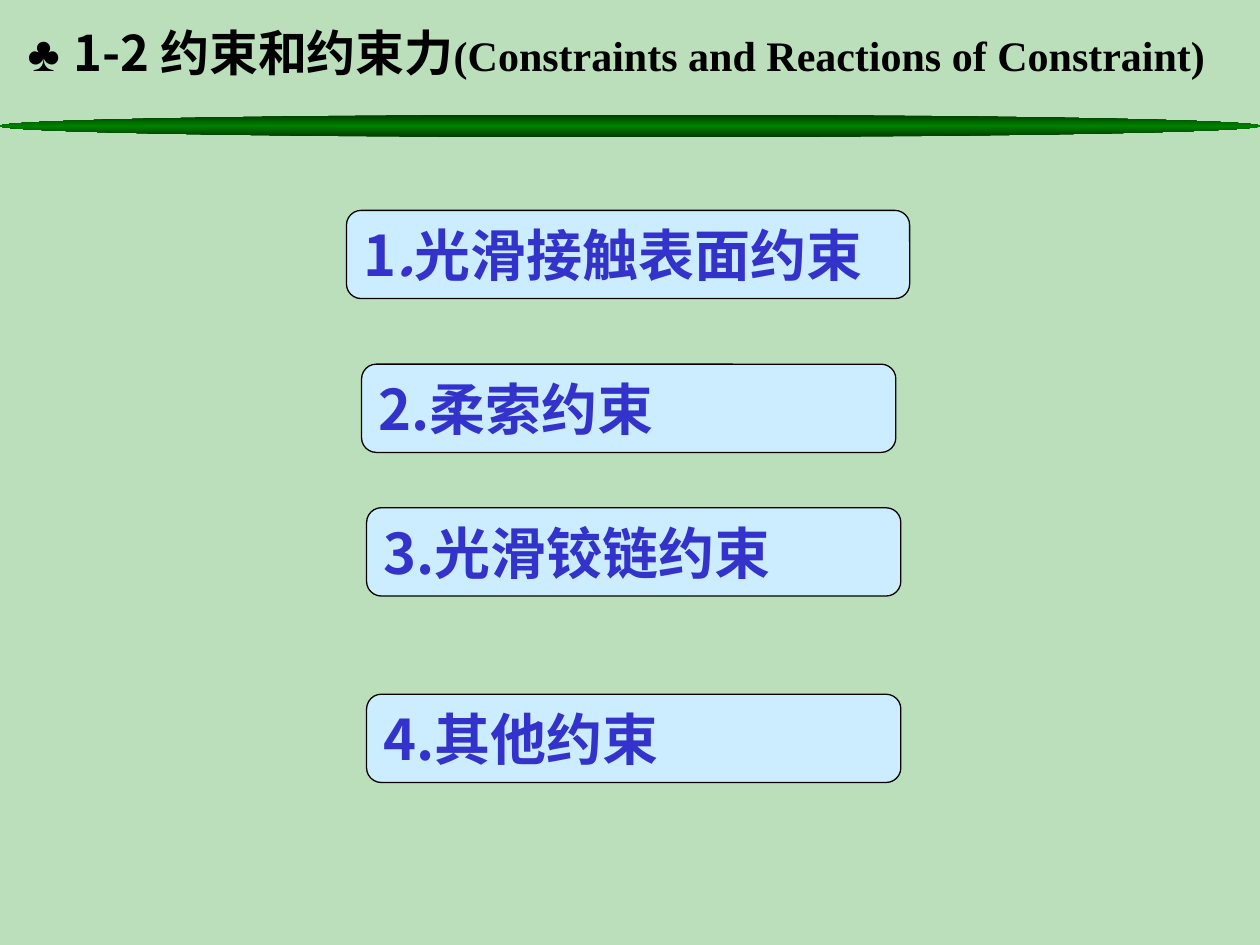
"""Build the section slide on constraints and constraint reactions."""
from dataclasses import dataclass

from lxml import etree
from pptx import Presentation
from pptx.dml.color import RGBColor
from pptx.enum import shapes, text
from pptx.oxml import ns
from pptx.util import Inches, Pt


@dataclass(frozen=True)
class Theme:
    background: str = "BBDFBB"
    rule_edge: str = "003B00"
    rule_middle: str = "008000"
    box: str = "CCECFF"
    outline: str = "000000"
    title: str = "000000"
    item: str = "3333CC"
    cjk: str = "Noto Sans CJK SC"
    latin: str = "Times New Roman"
    symbol: str = "Arial"
    title_size: int = 28
    subtitle_size: int = 24
    item_size: int = 32


THEME = Theme()


def rgb(value):
    return RGBColor.from_string(value)


def style_font(font, name, size, color, bold=None, italic=None):
    font.name, font.size, font.bold, font.italic = name, Pt(size), bold, italic
    font.color.rgb = rgb(color)
    latin = font._element.find(ns.qn("a:latin"))
    ea = etree.Element(ns.qn("a:ea"), typeface=name)
    latin.addnext(ea)


def add_rule(s):
    sp = s.shapes.add_shape(shapes.MSO_SHAPE.OVAL, 0, Inches(0.91), Inches(10), Inches(0.18))
    sp.shadow.inherit = False
    sp.line.fill.background()
    sp.fill.gradient()
    stops = sp.fill._fill._gradFill.find(ns.qn("a:gsLst"))
    for stop in list(stops):
        stops.remove(stop)
    for pos, color in ((0, THEME.rule_edge), (50, THEME.rule_middle), (100, THEME.rule_edge)):
        stop = etree.SubElement(stops, ns.qn("a:gs"), pos=str(pos * 1000))
        etree.SubElement(stop, ns.qn("a:srgbClr"), val=color)
    sp.fill.gradient_angle = 90


def add_title(s):
    sp = s.shapes.add_textbox(Inches(0.12), Inches(0.13), Inches(9.88), Inches(0.67))
    tf = sp.text_frame
    tf.word_wrap = True
    p = tf.paragraphs[0]
    for words, name, size, bold, italic in (
        ("♣ ", THEME.symbol, THEME.title_size, False, True),
        ("1-2 约束和约束力", THEME.cjk, THEME.title_size, True, False),
        ("(Constraints and Reactions of Constraint)", THEME.latin, THEME.subtitle_size, True, False),
    ):
        r = p.add_run()
        r.text = words
        style_font(r.font, name, size, THEME.title, bold, italic)


def add_item(s, left, top, width, parts, wrap=True):
    sp = s.shapes.add_shape(shapes.MSO_SHAPE.ROUNDED_RECTANGLE,
                            Inches(left), Inches(top), Inches(width), Inches(0.7))
    sp.shadow.inherit = False
    sp.fill.solid()
    sp.fill.fore_color.rgb = rgb(THEME.box)
    sp.line.color.rgb = rgb(THEME.outline)
    sp.line.width = Pt(0.75)
    tf = sp.text_frame
    tf.word_wrap = wrap
    tf.auto_size = text.MSO_AUTO_SIZE.SHAPE_TO_FIT_TEXT
    tf.vertical_anchor = text.MSO_ANCHOR.MIDDLE
    p = tf.paragraphs[0]
    p.alignment = text.PP_ALIGN.LEFT
    style_font(p.font, THEME.cjk, THEME.item_size, THEME.item, bold=True)
    for words, italic in parts:
        r = p.add_run()
        r.text = words
        if italic:
            r.font.italic = True


def main():
    prs = Presentation()
    prs.slide_width, prs.slide_height = Inches(10), Inches(7.5)
    s = prs.slides.add_slide(prs.slide_layouts[6])
    s.background.fill.solid()
    s.background.fill.fore_color.rgb = rgb(THEME.background)
    add_rule(s)
    add_title(s)
    add_item(s, 2.75, 1.67, 4.47,
             (("1", False), (".", True), ("光滑接触表面约束", False)), wrap=False)
    for left, top, words in ((2.87, 2.89, "2.柔索约束"),
                             (2.91, 4.03, "3.光滑铰链约束"),
                             (2.91, 5.51, "4.其他约束")):
        add_item(s, left, top, 4.24, ((words, False),))
    prs.save("out.pptx")


if __name__ == "__main__":
    main()
